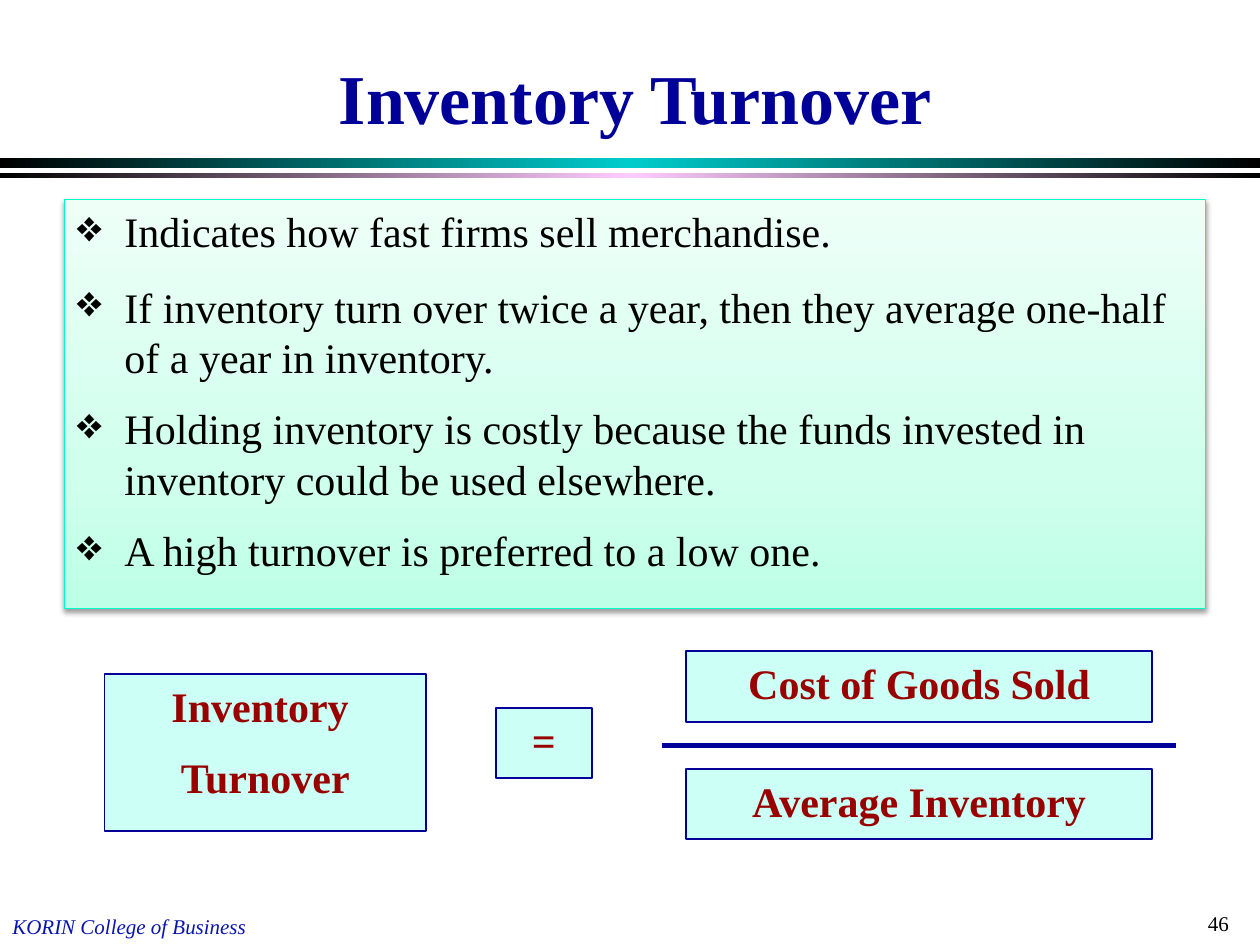
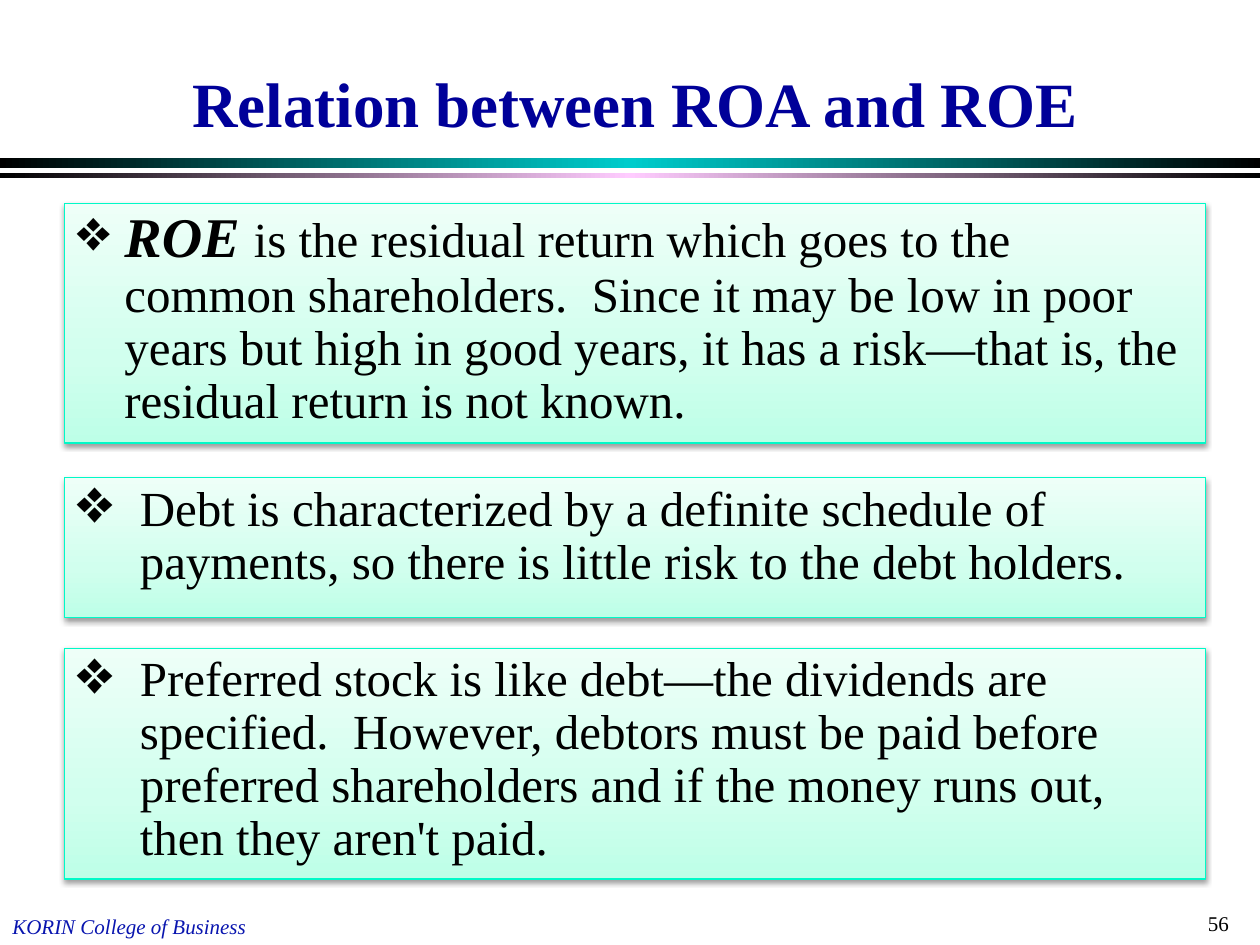
import pptx
import pptx.util
import pptx.dml.color
import pptx.enum.shapes
import pptx.enum.text
import pptx.oxml
import pptx.oxml.ns
from pptx.util import Cm

FONT = "Times New Roman"
COLORS = {
    "black": "000000", "navy": "000099", "footer": "0915AF", "maroon": "990000",
    "formula": "CCFFF5", "teal": "00CCCC", "pink": "FFCCFF", "panel_line": "00F9C8",
    "panel_low": "BDFFE7", "panel_mid": "D1FFEE", "panel_high": "EEFFF8",
}
MARGIN, CONTENT_WIDTH = 1.3, 23.01
ALIGN = pptx.enum.text.PP_ALIGN
ANCHOR = pptx.enum.text.MSO_ANCHOR
RECT = pptx.enum.shapes.MSO_SHAPE.RECTANGLE
STRAIGHT = pptx.enum.shapes.MSO_CONNECTOR.STRAIGHT


def rgb(name):
    return pptx.dml.color.RGBColor.from_string(COLORS[name])


def xml(tag, attributes="", inner=""):
    """Build one DrawingML element."""
    ns = pptx.oxml.ns.nsdecls("a")
    return pptx.oxml.parse_xml(f"<a:{tag} {ns} {attributes}>{inner}</a:{tag}>")


def color_xml(name, inner=""):
    return f'<a:srgbClr val="{COLORS[name]}">{inner}</a:srgbClr>'


def add_bullet(p, indent, size):
    pPr = p._p.get_or_add_pPr()
    pPr.set("marL", str(Cm(indent)))
    pPr.set("indent", str(-Cm(indent)))
    pPr.append(xml("buClr", inner=color_xml("black")))
    pPr.append(xml("buSzPct", f'val="{size * 1000}"'))
    pPr.append(xml("buChar", 'char="❖"'))


def write(p, text, size=24, color="black", bold=False, italic=False, align=None,
          before=0, after=0, spacing=None, bullet=None):
    """Add text to a paragraph; bullet is (indent in cm, size in percent)."""
    for i, line in enumerate(text.split("\n")):
        if i:
            p.add_line_break()
        r = p.add_run()
        r.text = line
        r.font.name, r.font.size = FONT, pptx.util.Pt(size)
        r.font.bold, r.font.italic = bold, italic
        r.font.color.rgb = rgb(color)
    if align is not None:
        p.alignment = align
    if before:
        p.space_before = pptx.util.Pt(before)
    if after:
        p.space_after = pptx.util.Pt(after)
    if spacing:
        p.line_spacing = spacing
    if bullet:
        add_bullet(p, *bullet)


class Deck:
    def __init__(self):
        self.prs = pptx.Presentation()
        self.prs.slide_width, self.prs.slide_height = Cm(25.4), Cm(19.05)
        self.s = None

    def new_slide(self, title, number, size, title_bottom):
        self.s = self.prs.slides.add_slide(self.prs.slide_layouts[6])
        for y, height, middle in ((3.18, 0.2, "teal"), (3.49, 0.1, "pink")):
            band = self.rect(0, y, 25.4, height)
            self.gradient(band, 0, (0, "black"), (50, middle), (100, "black"))
        self.text(24.1, 18.24, 1.3, 0.76, str(number), size=12)
        self.text(0, 18.29, 8, 0.76, "KORIN College of Business",
                  size=12, color="footer", italic=True)
        self.text(MARGIN, title_bottom - 2, CONTENT_WIDTH, 2, title, anchor=ANCHOR.BOTTOM,
                  size=size, color="navy", bold=True, align=ALIGN.CENTER)

    def text(self, x, y, width, height, text, anchor=ANCHOR.TOP, **fmt):
        tf = self.s.shapes.add_textbox(Cm(x), Cm(y), Cm(width), Cm(height)).text_frame
        tf.word_wrap, tf.vertical_anchor = True, anchor
        write(tf.paragraphs[0], text, **fmt)

    def rect(self, x, y, width, height, line=None, weight=1):
        sp = self.s.shapes.add_shape(RECT, Cm(x), Cm(y), Cm(width), Cm(height))
        sp.shadow.inherit = False
        if line:
            sp.line.color.rgb = rgb(line)
            sp.line.width = pptx.util.Pt(weight)
        else:
            sp.line.fill.background()
        sp.text_frame.word_wrap = True
        sp.text_frame.vertical_anchor = ANCHOR.TOP
        sp.text_frame.paragraphs[0].alignment = ALIGN.LEFT
        return sp

    def gradient(self, sp, angle, *stops):
        sp.fill.gradient()
        grad = sp._element.spPr.find(pptx.oxml.ns.qn("a:gradFill"))
        marks = "".join(f'<a:gs pos="{pos * 1000}">{color_xml(name)}</a:gs>'
                        for pos, name in stops)
        grad.getparent().replace(grad, xml(
            "gradFill", 'rotWithShape="1"',
            f'<a:gsLst>{marks}</a:gsLst><a:lin ang="{angle * 60000}" scaled="0"/>'))

    def panel(self, y, height):
        """Add a mint panel with a soft shadow and return its text frame."""
        sp = self.rect(MARGIN, y, CONTENT_WIDTH, height, "panel_line", 0.75)
        self.gradient(sp, 270, (0, "panel_low"), (35, "panel_mid"), (100, "panel_high"))
        blur, distance = pptx.util.Pt(3.1), pptx.util.Pt(1.6)
        sp._element.spPr.find(pptx.oxml.ns.qn("a:effectLst")).append(xml(
            "outerShdw", f'blurRad="{blur}" dist="{distance}" dir="5400000" rotWithShape="0"',
            color_xml("black", '<a:alpha val="38000"/>')))
        return sp.text_frame

    def formula_box(self, x, y, width, height, *lines):
        sp = self.rect(x, y, width, height, "navy")
        sp.fill.solid()
        sp.fill.fore_color.rgb = rgb("formula")
        tf = sp.text_frame
        for i, line in enumerate(lines):
            p = tf.add_paragraph() if i else tf.paragraphs[0]
            write(p, line, color="maroon", bold=True, align=ALIGN.CENTER,
                  before=12 if i else 0)

    def line(self, x1, x2, y, color, weight):
        cn = self.s.shapes.add_connector(STRAIGHT, Cm(x1), Cm(y), Cm(x2), Cm(y))
        cn.line.color.rgb = rgb(color)
        cn.line.width = pptx.util.Pt(weight)
        cn._element.spPr.append(xml("effectLst"))


def inventory_turnover(deck):
    deck.new_slide("Inventory Turnover", 46, 40, 2.92)
    points = (
        "Indicates how fast firms sell merchandise.",
        "If inventory turn over twice a year, then they average one-half of a year in inventory.",
        "Holding inventory is costly because the funds invested in inventory could be used elsewhere.",
        "A high turnover is preferred to a low one.",
    )
    tf = deck.panel(4.02, 8.25)
    for i, point in enumerate(points):
        p = tf.add_paragraph() if i else tf.paragraphs[0]
        write(p, point, before=12 if i else 0, after=0 if i else 2.4, bullet=(0.96, 104))
    deck.formula_box(2.11, 13.59, 6.48, 3.17, "Inventory ", "Turnover")
    deck.formula_box(10, 14.27, 1.93, 1.42, "=")
    deck.line(13.34, 23.7, 15.03, "navy", 3)
    for y, term in ((13.13, "Cost of Goods Sold"), (15.5, "Average Inventory")):
        deck.formula_box(13.83, y, 9.4, 1.42, term)


def roa_and_roe(deck):
    deck.new_slide("Relation between ROA and ROE", 56, 36, 2.95)
    p = deck.panel(4.1, 4.83).paragraphs[0]
    write(p, "ROE ", size=32, bold=True, italic=True)
    write(p, "is the residual return which goes to the common shareholders.  Since it may be "
          "low in poor years but high in good years, it has a risk—that is, the residual "
          "return is not known.", size=28, spacing=0.9, bullet=(0.96, 104))
    claims = (
        (9.63, 2.82, "Debt is characterized by a definite schedule of \n"
                     "payments, so there is little risk to the debt holders."),
        (13.07, 4.65, "Preferred stock is like debt—the dividends are \n"
                      "specified.  However, debtors must be paid before \n"
                      "preferred shareholders and if the money runs out, \n"
                      "then they aren't paid."),
    )
    for y, height, claim in claims:
        write(deck.panel(y, height).paragraphs[0], claim, size=28, spacing=0.9,
              bullet=(1.27, 128))


def main():
    deck = Deck()
    inventory_turnover(deck)
    roa_and_roe(deck)
    deck.prs.save("out.pptx")


if __name__ == "__main__":
    main()
